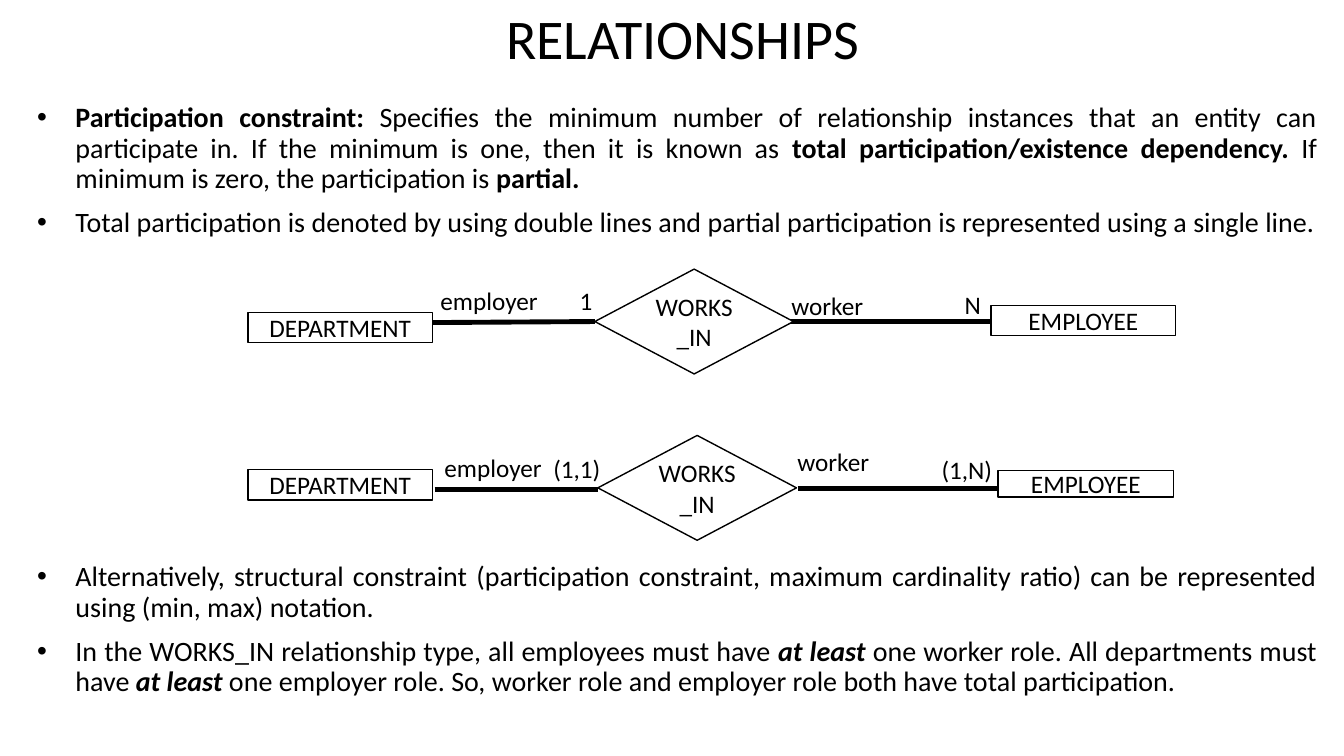
"""Build the slide on participation constraints in entity relationships."""
from dataclasses import dataclass

from lxml.etree import SubElement
from pptx import Presentation
from pptx.dml.color import RGBColor
from pptx.enum.shapes import MSO_CONNECTOR, MSO_SHAPE
from pptx.enum.text import MSO_ANCHOR as Anchor, PP_ALIGN as Align
from pptx.oxml.ns import qn
from pptx.slide import Slide
from pptx.text.text import _Paragraph as Paragraph
from pptx.util import Inches, Pt

FONT = "Calibri"
BLACK = "000000"
WHITE = "FFFFFF"
INDENT = Inches(0.38)


@dataclass
class Node:
    text: str
    left: float
    top: float
    width: float
    height: float
    kind: MSO_SHAPE = MSO_SHAPE.RECTANGLE


@dataclass
class Label:
    text: str
    left: float
    top: float
    width: float


@dataclass
class Link:
    start: tuple[float, float]
    end: tuple[float, float]


@dataclass
class Diagram:
    links: list[Link]
    nodes: list[Node]
    labels: list[Label]


@dataclass
class Span:
    text: str
    bold: bool = False
    italic: bool = False


@dataclass
class Bullet:
    spans: list[Span]
    space_before: float = 10


DIAGRAMS = [
    Diagram(
        [Link((4.29, 3.2), (5.9, 3.19)), Link((7.65, 3.19), (10.25, 3.19))],
        [
            Node("DEPARTMENT", 2.46, 3.1, 1.83, 0.3),
            Node("EMPLOYEE", 9.83, 3.03, 1.83, 0.3),
            Node("WORKS_IN", 5.9, 2.67, 1.97, 1.04, MSO_SHAPE.DIAMOND),
        ],
        [
            Label("employer", 4.27, 2.78, 2.19),
            Label("1", 5.65, 2.78, 0.54),
            Label("worker", 7.75, 2.83, 2.19),
            Label("N", 9.47, 2.82, 0.5),
        ],
    ),
    Diagram(
        [Link((4.31, 4.86), (5.93, 4.86)), Link((7.91, 4.85), (9.9, 4.85))],
        [
            Node("DEPARTMENT", 2.46, 4.66, 1.83, 0.3),
            Node("EMPLOYEE", 9.9, 4.67, 1.74, 0.26),
            Node("WORKS_IN", 5.93, 4.32, 1.97, 1.04, MSO_SHAPE.DIAMOND),
        ],
        [
            Label("employer", 4.31, 4.44, 2.19),
            Label("(1,1)", 5.39, 4.45, 0.73),
            Label("worker", 7.81, 4.38, 2.19),
            Label("(1,N)", 9.24, 4.46, 0.88),
        ],
    ),
]

BULLETS = [
    Bullet([
        Span("Participation constraint:", bold=True),
        Span(" Specifies the minimum number of relationship instances that an entity can "
             "participate in. If the minimum is one, then it is known as "),
        Span("total participation/existence dependency. ", bold=True),
        Span("If minimum is zero, the participation is "),
        Span("partial.", bold=True),
    ]),
    Bullet([
        Span("Total participation is denoted by using double lines and partial "
             "participation is represented using a single line."),
    ]),
    Bullet([
        Span("Alternatively, structural constraint (participation constraint, maximum "
             "cardinality ratio) can be represented using (min, max) notation."),
    ], space_before=231.4),
    Bullet([
        Span("In the WORKS_IN relationship type, all employees must have "),
        Span("at least ", bold=True, italic=True),
        Span("one worker role. All departments must have "),
        Span("at least", bold=True, italic=True),
        Span(" one employer role. So, worker role and employer role both have total "
             "participation."),
    ]),
]


def color(value: str) -> RGBColor:
    return RGBColor.from_string(value)


def style(para: Paragraph, size: float, align: Align) -> None:
    para.alignment = align
    para.font.name = FONT
    para.font.size = Pt(size)
    para.font.color.rgb = color(BLACK)


def add_title(page: Slide, text: str) -> None:
    title = page.shapes.title
    title.left, title.top = Inches(1.27), Inches(0)
    title.width, title.height = Inches(11), Inches(0.76)
    frame = title.text_frame
    frame.text = text
    frame.vertical_anchor = Anchor.BOTTOM
    para = frame.paragraphs[0]
    para.line_spacing = 0.9
    style(para, 40, Align.CENTER)


def add_bullets(page: Slide, bullets: list[Bullet]) -> None:
    box = page.shapes.add_textbox(Inches(0.27), Inches(0.98), Inches(12.89), Inches(6.2))
    frame = box.text_frame
    frame.word_wrap = True
    for index, bullet in enumerate(bullets):
        para = frame.add_paragraph() if index else frame.paragraphs[0]
        para.line_spacing = 0.9
        para.space_before = Pt(bullet.space_before)
        properties = para._p.get_or_add_pPr()
        properties.set("marL", str(INDENT))
        properties.set("indent", str(-INDENT))
        SubElement(properties, qn("a:buFont")).set("typeface", "Arial")
        SubElement(properties, qn("a:buChar")).set("char", "•")
        style(para, 20, Align.JUSTIFY)
        for span in bullet.spans:
            run = para.add_run()
            run.text = span.text
            run.font.bold, run.font.italic = span.bold, span.italic


def add_link(page: Slide, link: Link) -> None:
    ends = [Inches(value) for value in (*link.start, *link.end)]
    line = page.shapes.add_connector(MSO_CONNECTOR.STRAIGHT, *ends)
    line.line.color.rgb = color(BLACK)
    line.line.width = Pt(3.5)
    SubElement(line._element.spPr, qn("a:effectLst"))


def add_node(page: Slide, node: Node) -> None:
    bounds = [Inches(value) for value in (node.left, node.top, node.width, node.height)]
    shape = page.shapes.add_shape(node.kind, *bounds)
    shape.shadow.inherit = False
    shape.fill.solid()
    shape.fill.fore_color.rgb = color(WHITE)
    shape.line.color.rgb = color(BLACK)
    shape.line.width = Pt(1)
    frame = shape.text_frame
    frame.text = node.text
    frame.word_wrap = True
    frame.vertical_anchor = Anchor.MIDDLE
    style(frame.paragraphs[0], 18, Align.CENTER)


def add_label(page: Slide, label: Label) -> None:
    bounds = [Inches(value) for value in (label.left, label.top, label.width, 0.4)]
    frame = page.shapes.add_textbox(*bounds).text_frame
    frame.text = label.text
    frame.word_wrap = True
    style(frame.paragraphs[0], 18, Align.LEFT)


def main() -> None:
    deck = Presentation()
    deck.slide_width, deck.slide_height = Inches(13.33), Inches(7.5)
    page = deck.slides.add_slide(deck.slide_layouts.get_by_name("Title Only"))
    add_title(page, "RELATIONSHIPS")
    add_bullets(page, BULLETS)
    for diagram in DIAGRAMS:
        for link in diagram.links:
            add_link(page, link)
        for node in diagram.nodes:
            add_node(page, node)
        for label in diagram.labels:
            add_label(page, label)
    deck.save("out.pptx")


if __name__ == "__main__":
    main()
